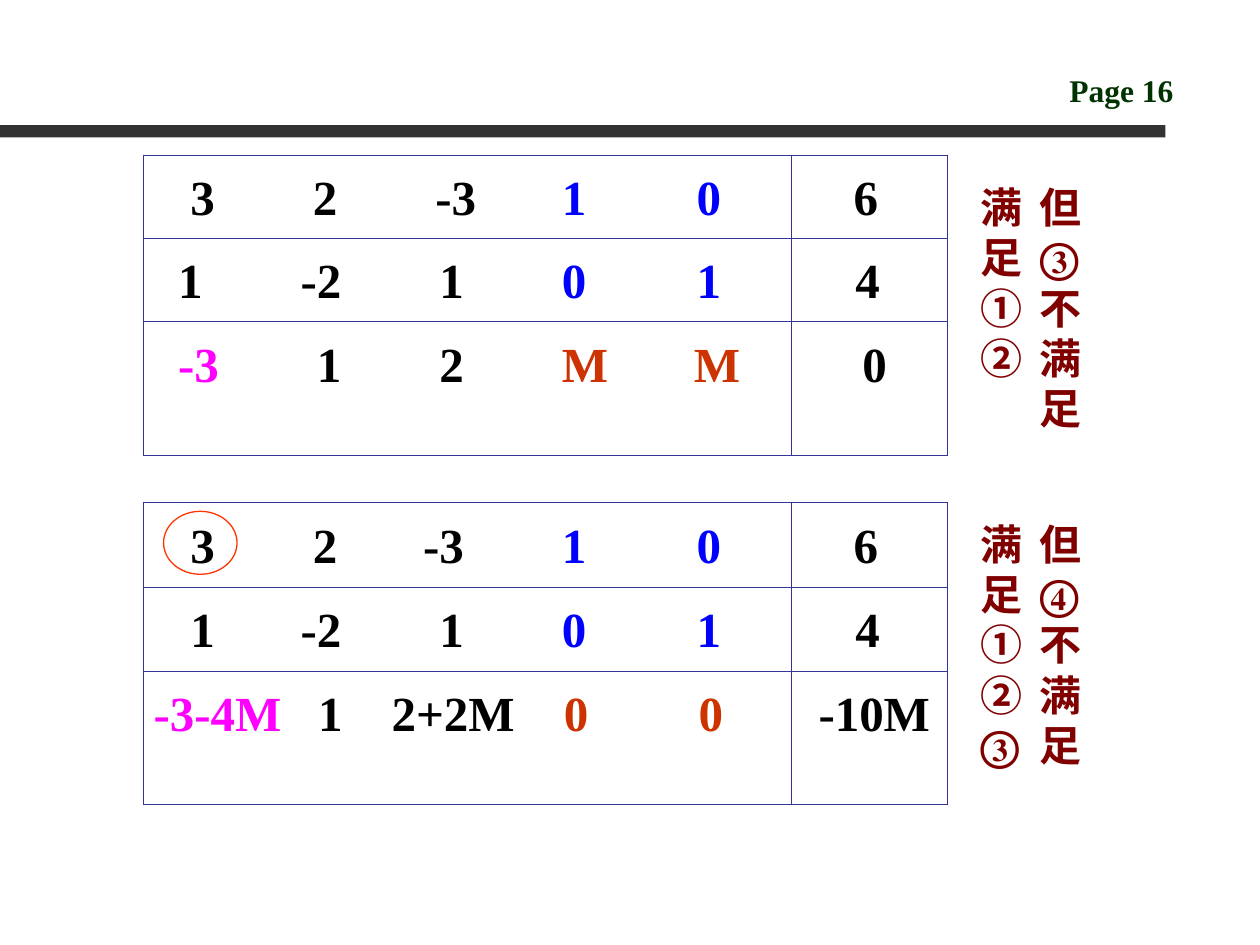
import lxml.etree
import pptx
import pptx.dml.color
import pptx.enum.shapes
import pptx.oxml.ns
import pptx.util

Pt = pptx.util.Pt
qn = pptx.oxml.ns.qn

COLORS = {
    "bar": "333333", "page": "003300", "border": "333399", "ring": "FF3300",
    "note": "800000", "black": "000000", "blue": "0000FF",
    "magenta": "FF00FF", "red": "CC3300",
}
COEFFICIENT_COLORS = ["black", "black", "black", "blue", "blue"]
COST_COLORS = ["magenta", "black", "black", "red", "red"]

# Each row: coefficients, their tab positions, right-hand side, its tab position
FIRST_ROWS = [
    (["3", "2", "-3", "1", "0"], [21, 91, 161, 233.3, 310.3], "6", 30),
    (["1", "-2", "1", "0", "1"], [14, 84, 163.3, 233.3, 310.3], "4", 31),
    (["-3", "1", "2", "M", "M"], [14, 93.3, 163.3, 233.3, 308.7], "0", 35),
]
SECOND_ROWS = [
    (["3", "2", "-3", "1", "0"], [21, 91, 154, 233.3, 310.3], "6", 30),
    (["1", "-2", "1", "0", "1"], [21, 84, 163.3, 233.3, 310.3], "4", 31),
    (["-3-4M", "1", "2+2M", "0", "0"], [0, 94, 136, 234.5, 311.5], "-10M", 10),
]


def rgb(name):
    return pptx.dml.color.RGBColor.from_string(COLORS[name])


def format_font(font, size, color):
    for name, value in {"name": "Times New Roman", "size": Pt(size), "bold": True}.items():
        setattr(font, name, value)
    font.color.rgb = rgb(color)


def add_text(slide, left, top, width, height, lines, size, color):
    box = slide.shapes.add_textbox(Pt(left), Pt(top), Pt(width), Pt(height))
    frame = box.text_frame
    frame.word_wrap = True
    frame.text = "\n".join(lines)
    for paragraph in frame.paragraphs:
        format_font(paragraph.runs[0].font, size, color)


def add_header(slide, left, top, width, height):
    """Rule across the slide with the page number above its right end."""
    bar = slide.shapes.add_shape(
        pptx.enum.shapes.MSO_SHAPE.RECTANGLE, Pt(left), Pt(top), Pt(width), Pt(height))
    bar.shadow.inherit = False
    bar.fill.solid()
    bar.fill.fore_color.rgb = rgb("bar")
    bar.line.fill.background()
    add_text(slide, left + width - 62, top - 34.5, 102, 29, ["Page 16"], 18, "page")


def format_cell(cell):
    margins = {"margin_left": 5.76, "margin_right": 5.76,
               "margin_top": 3.6, "margin_bottom": 3.6}
    for name, value in margins.items():
        setattr(cell, name, Pt(value))
    properties = cell._tc.get_or_add_tcPr()
    for side in ("a:lnL", "a:lnR", "a:lnT", "a:lnB"):
        line = lxml.etree.SubElement(properties, qn(side), w=str(Pt(0.45)))
        fill = lxml.etree.SubElement(line, qn("a:solidFill"))
        lxml.etree.SubElement(fill, qn("a:srgbClr"), val=COLORS["border"])
    cell.fill.background()


def fill_cell(cell, values, positions, colors):
    """Write the values in one paragraph, each at its own tab stop."""
    format_cell(cell)
    paragraph = cell.text_frame.paragraphs[0]
    paragraph.line_spacing = 1.2
    tabs = lxml.etree.SubElement(paragraph._p.get_or_add_pPr(), qn("a:tabLst"))
    for value, position, color in zip(values, positions, colors):
        if position:
            lxml.etree.SubElement(tabs, qn("a:tab"), pos=str(Pt(position)), algn="l")
        run = paragraph.add_run()
        run.text = "\t" + value if position else value
        format_font(run.font, 28, color)


def add_tableau(slide, left, top, heights, rows):
    """Simplex tableau: coefficients on the left, right-hand sides on the right."""
    widths = [370, 89.5]
    frame = slide.shapes.add_table(
        len(rows), 2, Pt(left), Pt(top), Pt(sum(widths)), Pt(sum(heights)))
    table = frame.table
    table.first_row = False
    table.horz_banding = False
    for column, width in zip(table.columns, widths):
        column.width = Pt(width)
    for index, (values, positions, constant, offset) in enumerate(rows):
        table.rows[index].height = Pt(heights[index])
        colors = COST_COLORS if index == len(rows) - 1 else COEFFICIENT_COLORS
        fill_cell(table.cell(index, 0), values, positions, colors)
        fill_cell(table.cell(index, 1), [constant], [offset], ["black"])


def add_pivot_ring(slide, left, top):
    """Ring around the first coefficient of the tableau at left, top."""
    ring = slide.shapes.add_shape(
        pptx.enum.shapes.MSO_SHAPE.OVAL, Pt(left + 11.5), Pt(top + 5.2), Pt(42), Pt(36))
    ring.shadow.inherit = False
    ring.fill.background()
    ring.line.color.rgb = rgb("ring")
    ring.line.width = Pt(0.75)


def add_notes(slide, left, top, satisfied, violated):
    """Two vertical columns of remarks."""
    for index, lines in enumerate((satisfied, ["但", violated, "不", "满足"])):
        add_text(slide, left + 34 * index, top, 45, 151, lines, 24, "note")


def main():
    presentation = pptx.Presentation()
    presentation.slide_width = Pt(720)
    presentation.slide_height = Pt(540)
    slide = presentation.slides.add_slide(presentation.slide_layouts[6])

    add_header(slide, 0, 71.5, 666, 7)

    # First tableau
    add_tableau(slide, 82, 88.5, [47.5, 47.5, 76.5], FIRST_ROWS)
    add_notes(slide, 553, 100, ["满足① ②"], "③")

    # Second tableau
    add_pivot_ring(slide, 82, 287)
    add_tableau(slide, 82, 287, [48.5, 48, 76], SECOND_ROWS)
    add_notes(slide, 553, 292.5, ["满足① ②", "③"], "④")

    presentation.save("out.pptx")


if __name__ == "__main__":
    main()
